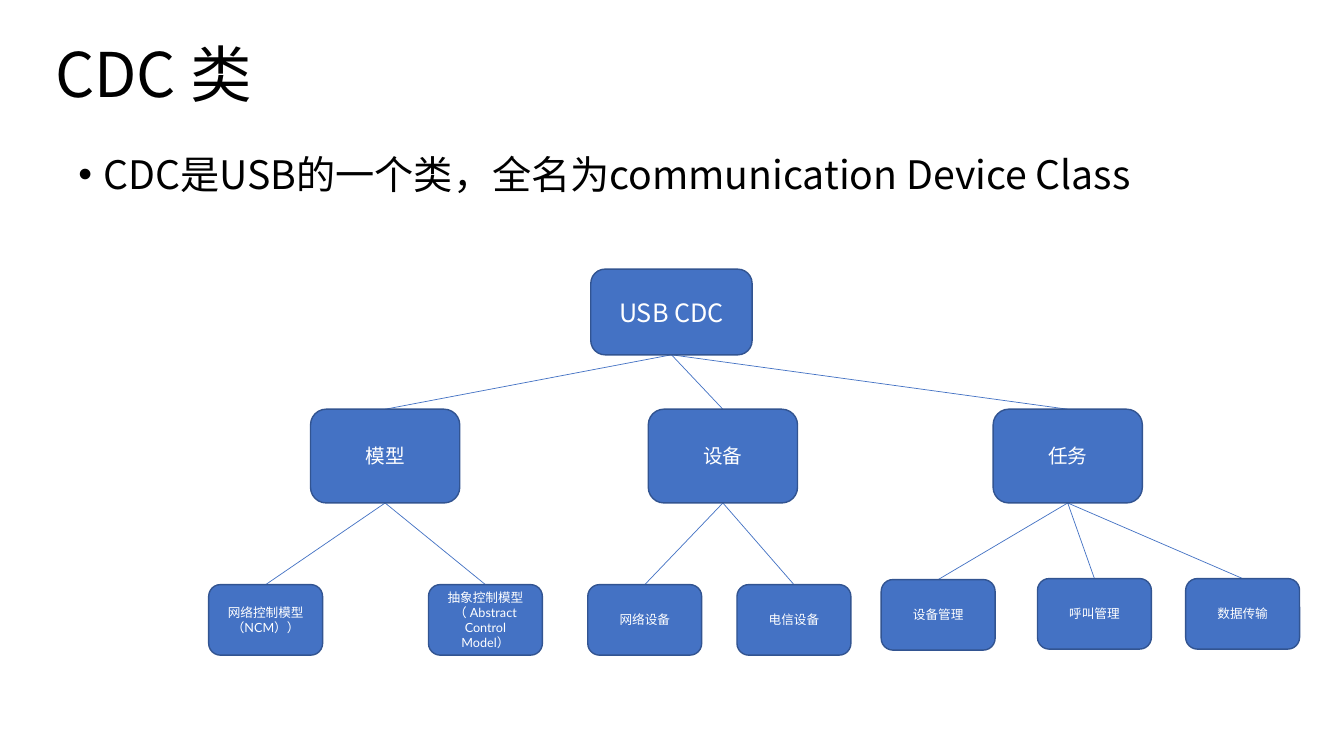
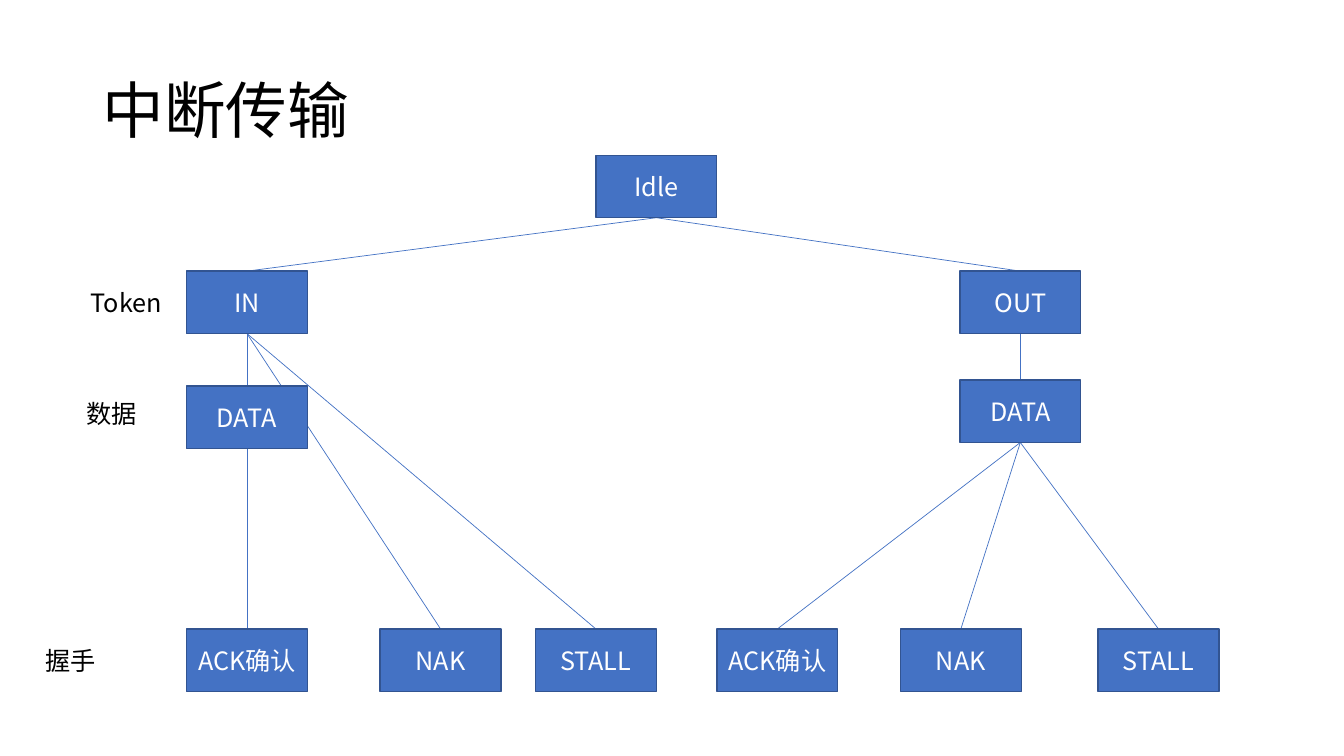
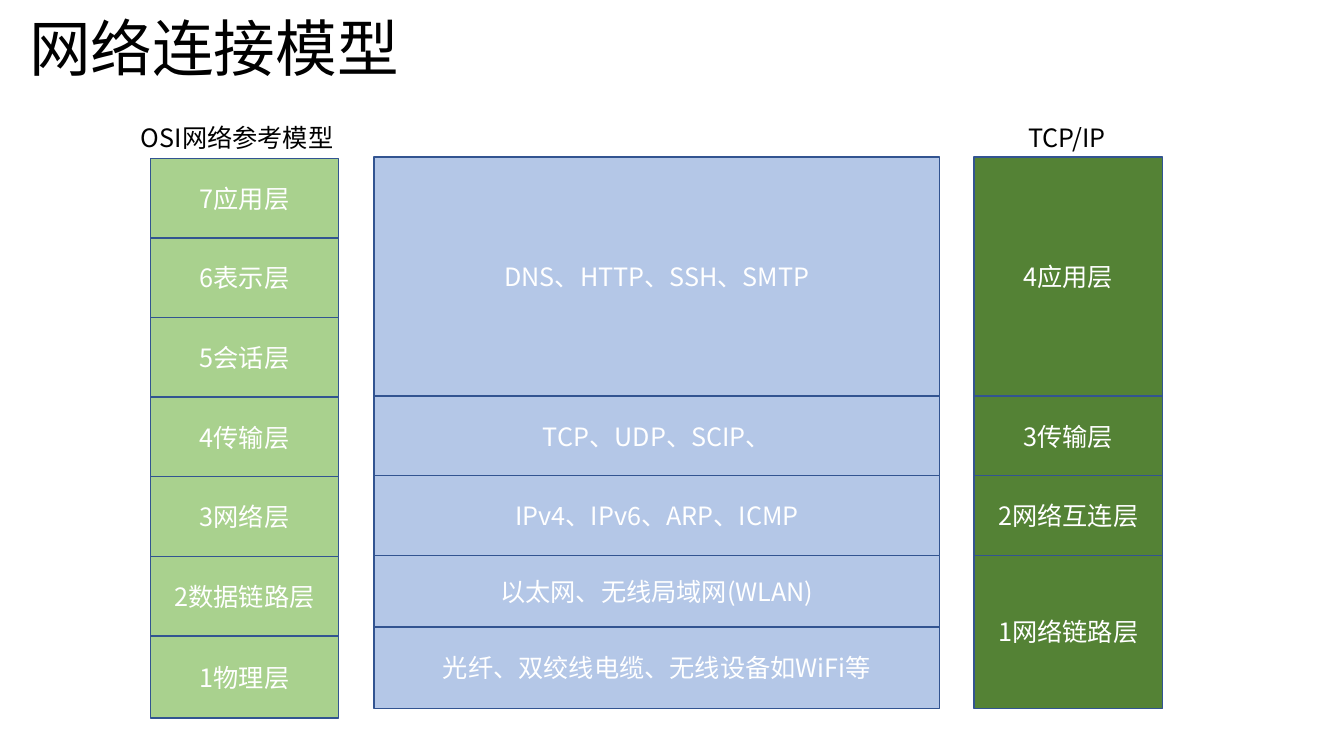
import pptx
import pptx.util
import pptx.dml.color
import pptx.enum.shapes
import pptx.enum.text
import pptx.oxml.ns
import lxml.etree

RGB = pptx.dml.color.RGBColor
BLUE = RGB(0x44, 0x72, 0xC4)
NAVY = RGB(0x32, 0x54, 0x91)
PALE = RGB(0xB4, 0xC7, 0xE7)
LIME = RGB(0xA9, 0xD1, 0x8E)
GREEN = RGB(0x54, 0x82, 0x35)
WHITE = RGB(0xFF, 0xFF, 0xFF)
BLACK = RGB(0, 0, 0)

inch = pptx.util.Inches
point = pptx.util.Pt
KIND = pptx.enum.shapes.MSO_SHAPE
ALIGN = pptx.enum.text.PP_ALIGN
MID = pptx.enum.text.MSO_ANCHOR.MIDDLE
TOP = pptx.enum.text.MSO_ANCHOR.TOP
NOTO, LATO = "Noto Sans CJK SC", "Lato"

CLASS = {
    "title": ("CDC 类", 0.45, 0.04, 11.5, 1.45),
    "body": ("CDC是USB的一个类，全名为communication Device Class", 0.68, 1.49, 11.5, 4.76),
    "kind": KIND.ROUNDED_RECTANGLE,
    "ranks": {
        "root": (1.6, 0.85, 18, NOTO),
        "group": (1.48, 0.93, 14, NOTO),
        "part": (1.13, 0.7, 9, LATO),
        "task": (1.13, 0.7, 9, NOTO),
    },
    "nodes": {
        "cdc": ("USB CDC", "root", 5.86, 2.67, None),
        "model": ("模型", "group", 3.08, 4.06, "cdc"),
        "device": ("设备", "group", 6.43, 4.06, "cdc"),
        "task": ("任务", "group", 9.85, 4.06, "cdc"),
        "ncm": ("网络控制模型（NCM））", "part", 2.07, 5.8, "model"),
        "acm": ("抽象控制模型（ Abstract Control Model）", "part", 4.25, 5.8, "model"),
        "net": ("网络设备", "part", 5.83, 5.8, "device"),
        "phone": ("电信设备", "part", 7.31, 5.8, "device"),
        "manage": ("设备管理", "task", 8.74, 5.75, "task"),
        "call": ("呼叫管理", "task", 10.29, 5.74, "task"),
        "send": ("数据传输", "task", 11.76, 5.74, "task"),
    },
    "labels": [],
}

BREAK = {
    "title": ("中断传输", 0.92, 0.4, 11.5, 1.45),
    "kind": KIND.RECTANGLE,
    "ranks": {"step": (1.2, 0.62, 18, NOTO)},
    "nodes": {
        "idle": ("Idle", "step", 5.91, 1.54, None),
        "in": ("IN", "step", 1.85, 2.69, "idle"),
        "out": ("OUT", "step", 9.52, 2.69, "idle"),
        "read": ("DATA", "step", 1.85, 3.83, "in"),
        "write": ("DATA", "step", 9.52, 3.77, "out"),
        "in ack": ("ACK确认", "step", 1.85, 6.24, "read"),
        "in nak": ("NAK", "step", 3.77, 6.24, "in"),
        "in stall": ("STALL", "step", 5.31, 6.24, "in"),
        "out ack": ("ACK确认", "step", 7.11, 6.24, "write"),
        "out nak": ("NAK", "step", 8.93, 6.24, "write"),
        "out stall": ("STALL", "step", 10.89, 6.24, "write"),
    },
    "labels": [
        ("Token", 0.8, 2.8, 1.45, 0.4),
        ("数据", 0.76, 3.9, 1.45, 0.4),
        ("握手", 0.35, 6.35, 1.45, 0.4),
    ],
}

ROW = 0.79
STACK = {
    "title": ("网络连接模型", 0.19, 0.11, 11.23, 0.8),
    "labels": [
        ("OSI网络参考模型", 1.3, 1.16, 2.61, 0.4),
        ("TCP/IP", 10.1, 1.16, 1.19, 0.4),
    ],
    "columns": [
        (1.49, 1.57, 1.87, LIME, 7.03, [
            ("7应用层", 0), ("6表示层", 1), ("5会话层", 2), ("4传输层", 3),
            ("3网络层", 4), ("2数据链路层", 5), ("1物理层", 6)]),
        (9.66, 1.56, 1.87, GREEN, 6.92, [
            ("4应用层", 0), ("3传输层", 3), ("2网络互连层", 4), ("1网络链路层", 5)]),
        (3.71, 1.56, 5.61, PALE, 6.92, [
            ("DNS、HTTP、SSH、SMTP", 0), ("TCP、UDP、SCIP、", 3),
            ("IPv4、IPv6、ARP、ICMP", 4), ("以太网、无线局域网(WLAN)", 5),
            ("光纤、双绞线电缆、无线设备如WiFi等", 5.9)]),
    ],
}


def put(item, form):
    for name, value in form.items():
        setattr(item, name, value)


def write(shape, text, size, color, face=NOTO, anchor=TOP, form=None, mark=False):
    put(shape.text_frame, {"word_wrap": True, "vertical_anchor": anchor})
    para = shape.text_frame.paragraphs[0]
    put(para, form or {})
    if mark:
        props = para._p.get_or_add_pPr()
        props.set("marL", str(inch(0.25)))
        props.set("indent", str(-inch(0.25)))
        for tag, key, value in (("a:buFont", "typeface", "Arial"), ("a:buChar", "char", "•")):
            lxml.etree.SubElement(props, pptx.oxml.ns.qn(tag)).set(key, value)
    run = para.add_run()
    run.text = text
    put(run.font, {"size": point(size), "name": face})
    run.font.color.rgb = color
    east = lxml.etree.SubElement(run.font._element, pptx.oxml.ns.qn("a:ea"))
    east.set("typeface", face)


def note(slide, spot, size=18, **style):
    text, *place = spot
    box = slide.shapes.add_textbox(*map(inch, place))
    write(box, text, size, BLACK, **style)


def block(slide, kind, place, text, size=18, face=NOTO, fill=BLUE):
    shape = slide.shapes.add_shape(kind, *map(inch, place))
    shape.shadow.inherit = False
    shape.fill.solid()
    shape.fill.fore_color.rgb = fill
    shape.line.color.rgb = NAVY
    shape.line.width = point(1)
    write(shape, text, size, WHITE, face, MID, {"alignment": ALIGN.CENTER})


def link(slide, *ends):
    line = slide.shapes.add_connector(
        pptx.enum.shapes.MSO_CONNECTOR.STRAIGHT, *map(inch, ends))
    line.line.color.rgb = BLUE
    line.line.width = point(0.5)
    lxml.etree.SubElement(line._element.spPr, pptx.oxml.ns.qn("a:effectLst"))


def start(deck, page):
    slide = deck.slides.add_slide(deck.slide_layouts[6])
    note(slide, page["title"], 44, anchor=MID, form={"line_spacing": 0.9})
    if "body" in page:
        note(slide, page["body"], 28, form={"line_spacing": 0.9}, mark=True)
    for label in page["labels"]:
        note(slide, label)
    return slide


def tree(deck, page):
    slide = start(deck, page)
    nodes, ranks = page["nodes"], page["ranks"]
    for text, rank, left, top, above in nodes.values():
        if above:
            _, high, x, y, _ = nodes[above]
            wide, tall = ranks[high][:2]
            link(slide, x + wide / 2, y + tall, left + ranks[rank][0] / 2, top)
    for text, rank, left, top, above in nodes.values():
        wide, tall, size, face = ranks[rank]
        block(slide, page["kind"], (left, top, wide, tall), text, size, face)


def stack(deck, page):
    slide = start(deck, page)
    for left, top, wide, fill, end, rows in page["columns"]:
        stops = [row for _, row in rows[1:]] + [end]
        for (text, row), stop in zip(rows, stops):
            place = (left, top + row * ROW, wide, (stop - row) * ROW)
            block(slide, KIND.RECTANGLE, place, text, fill=fill)


def main():
    deck = pptx.Presentation()
    put(deck, {"slide_width": inch(13.33), "slide_height": inch(7.5)})
    tree(deck, CLASS)
    tree(deck, BREAK)
    stack(deck, STACK)
    deck.save("out.pptx")


if __name__ == "__main__":
    main()
